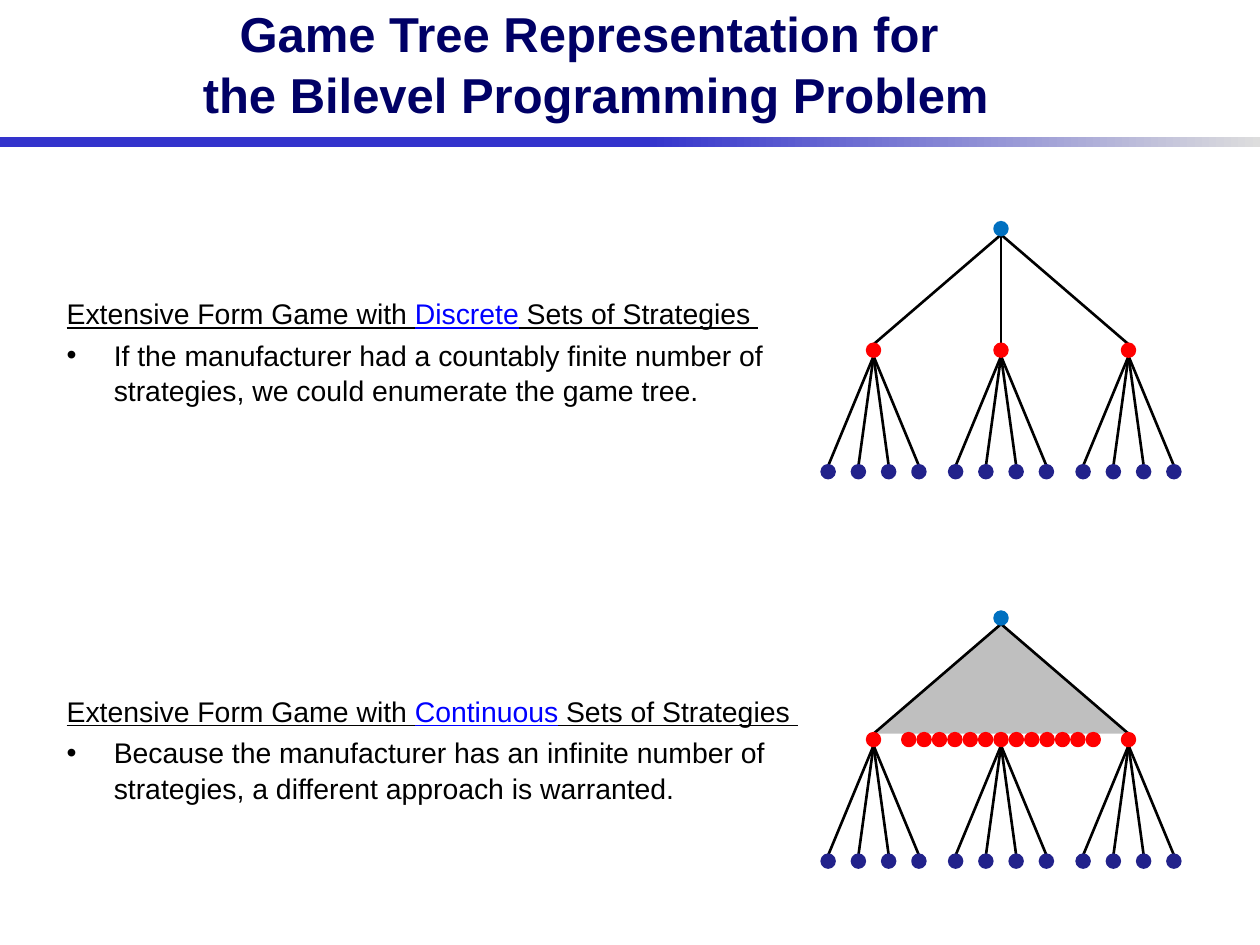
"""Build the slide on game trees for the bilevel programming problem."""
from dataclasses import dataclass

from lxml import etree
from pptx import Presentation
from pptx.dml.color import RGBColor
from pptx.enum.shapes import MSO_CONNECTOR, MSO_SHAPE
from pptx.enum.text import MSO_ANCHOR, MSO_AUTO_SIZE, PP_ALIGN
from pptx.oxml.ns import qn
from pptx.util import Cm, Pt

RECT, OVAL = MSO_SHAPE.RECTANGLE, MSO_SHAPE.OVAL
STRAIGHT = MSO_CONNECTOR.STRAIGHT
CENTER, LEFT = PP_ALIGN.CENTER, PP_ALIGN.LEFT
MIDDLE, TOP = MSO_ANCHOR.MIDDLE, MSO_ANCHOR.TOP
NO_FIT = MSO_AUTO_SIZE.NONE


@dataclass(frozen=True)
class Theme:
    """Colours, font and sizes of the slide."""
    font: str = "Arial"
    title: str = "000066"
    text: str = "000000"
    accent: str = "0000FF"
    band_start: str = "3333CC"
    band_end: str = "DDDDDD"
    root: str = "0070C0"
    child: str = "FF0000"
    leaf: str = "22228B"
    fan: str = "BFBFBF"
    title_size: float = 28
    body_size: float = 16.2
    space: float = 3.5
    section_gap: float = 163
    edge: float = 1.5
    outline: float = 2
    fan_outline: float = 0.75


T = Theme()
RADIUS = 0.12
LEVEL_GAP = 2.45
ROOT_X = 20.18
CHILD_STEP = 2.57
LEAF_STEP = 0.61
DENSE_STEP = 0.31
SECTIONS = [
    ("Discrete", "If the manufacturer had a countably finite number of "
     "strategies, we could enumerate the game tree."),
    ("Continuous", "Because the manufacturer has an infinite number of "
     "strategies, a different approach is warranted."),
]


def rgb(value):
    """Turn a hex string into a colour."""
    return RGBColor.from_string(value)


def set_attrs(obj, values):
    """Set every attribute named in a dict."""
    for name, value in values.items():
        setattr(obj, name, value)


def place(sp, left, top, width, height):
    """Move and size a shape in centimetres."""
    set_attrs(sp, {"left": Cm(left), "top": Cm(top),
                   "width": Cm(width), "height": Cm(height)})


def add_run(p, text, color, size, **style):
    """Append a formatted run."""
    r = p.add_run()
    r.text = text
    set_attrs(r.font, {"name": T.font, "size": Pt(size), **style})
    r.font.color.rgb = rgb(color)


def add_band(s):
    """Draw the gradient band below the title."""
    sp = s.shapes.add_shape(RECT, 0, Cm(2.77), Cm(25.4), Cm(0.2))
    sp.shadow.inherit = False
    sp.line.fill.background()
    sp.fill.gradient()
    sp.fill.gradient_angle = 0
    stops = [(0.51, T.band_start), (1, T.band_end)]
    for stop, (position, color) in zip(sp.fill.gradient_stops, stops):
        stop.position = position
        stop.color.rgb = rgb(color)


def fill_title(sp):
    """Write the title on two lines."""
    place(sp, 2.69, -0.33, 18.64, 3.18)
    tf = sp.text_frame
    set_attrs(tf, {"word_wrap": True, "auto_size": NO_FIT, "vertical_anchor": MIDDLE})
    p = tf.paragraphs[0]
    set_attrs(p, {"alignment": CENTER, "line_spacing": 1.03})
    add_run(p, "Game Tree Representation for ", T.title, T.title_size, bold=True)
    p.add_line_break()
    add_run(p, "the Bilevel Programming Problem", T.title, T.title_size, bold=True)


def format_item(p, space, bullet=None):
    """Set the hanging indent, bullet and spacing of a paragraph."""
    pPr = p._p.get_or_add_pPr()
    pPr.set("marL", str(Cm(0.95)))
    pPr.set("indent", str(-Cm(0.95)))
    bu = etree.SubElement(pPr, qn("a:buChar" if bullet else "a:buNone"))
    if bullet:
        bu.set("char", bullet)
    set_attrs(p, {"alignment": LEFT, "line_spacing": 1.04, "space_before": Pt(space)})


def fill_body(sp):
    """Write each section as an underlined heading and a bullet."""
    place(sp, 1.09, 5.82, 15.65, 10.52)
    tf = sp.text_frame
    set_attrs(tf, {"word_wrap": True, "auto_size": NO_FIT, "vertical_anchor": TOP})
    for i, (kind, detail) in enumerate(SECTIONS):
        p = tf.add_paragraph() if i else tf.paragraphs[0]
        format_item(p, T.section_gap if i else 0)
        for text, color in (("Extensive Form Game with ", T.text), (kind, T.accent),
                            (" Sets of Strategies ", T.text)):
            add_run(p, text, color, T.body_size, underline=True)
        p = tf.add_paragraph()
        format_item(p, T.space, "•")
        add_run(p, detail, T.text, T.body_size)


def add_edge(shapes, start, end):
    """Join the bottom of one node to the top of another."""
    (x1, y1), (x2, y2) = start, end
    line = shapes.add_connector(STRAIGHT, Cm(x1), Cm(y1 + RADIUS),
                                Cm(x2), Cm(y2 - RADIUS))
    line.line.color.rgb = rgb(T.text)
    line.line.width = Pt(T.edge)
    etree.SubElement(line._element.spPr, qn("a:effectLst"))


def add_node(shapes, center, color):
    """Draw a round node."""
    x, y = center
    sp = shapes.add_shape(OVAL, Cm(x - RADIUS), Cm(y - RADIUS),
                          Cm(2 * RADIUS), Cm(2 * RADIUS))
    sp.shadow.inherit = False
    sp.fill.solid()
    sp.fill.fore_color.rgb = sp.line.color.rgb = rgb(color)
    sp.line.width = Pt(T.outline)


def add_fan(shapes, root, children):
    """Shade the area between the root and its outer children."""
    points = [(Cm(x), Cm(y - RADIUS)) for x, y in (children[0], children[-1])]
    apex = (Cm(root[0]), Cm(root[1] + RADIUS))
    builder = shapes.build_freeform(*points[0], scale=1.0)
    builder.add_line_segments([apex, points[1]], close=False)
    sp = builder.convert_to_shape()
    sp.shadow.inherit = False
    sp.fill.solid()
    sp.fill.fore_color.rgb = rgb(T.fan)
    sp.line.color.rgb = rgb(T.text)
    sp.line.width = Pt(T.fan_outline)


def add_tree(s, root_y, continuous=False):
    """Draw a three-level game tree as a group."""
    shapes = s.shapes.add_group_shape().shapes
    root = (ROOT_X, root_y)
    child_y, leaf_y = root_y + LEVEL_GAP, root_y + 2 * LEVEL_GAP
    children = [(ROOT_X + i * CHILD_STEP, child_y) for i in (-1, 0, 1)]
    if continuous:
        add_fan(shapes, root, children)
    for child in children:
        if not continuous or child[0] != ROOT_X:
            add_edge(shapes, root, child)
        leaves = [(child[0] + (i - 1.5) * LEAF_STEP, leaf_y) for i in range(4)]
        for leaf in leaves:
            add_edge(shapes, child, leaf)
        add_node(shapes, child, T.child)
        for leaf in leaves:
            add_node(shapes, leaf, T.leaf)
    add_node(shapes, root, T.root)
    if continuous:
        for i in range(1, 7):
            for side in (-1, 1):
                add_node(shapes, (ROOT_X + side * i * DENSE_STEP, child_y), T.child)


def main():
    """Build and save the slide."""
    prs = Presentation()
    set_attrs(prs, {"slide_width": Cm(25.4), "slide_height": Cm(19.05)})
    s = prs.slides.add_slide(prs.slide_layouts[1])
    add_band(s)
    fill_body(s.placeholders[1])
    fill_title(s.shapes.title)
    add_tree(s, 4.61)
    add_tree(s, 12.46, continuous=True)
    prs.save("out.pptx")


if __name__ == "__main__":
    main()
